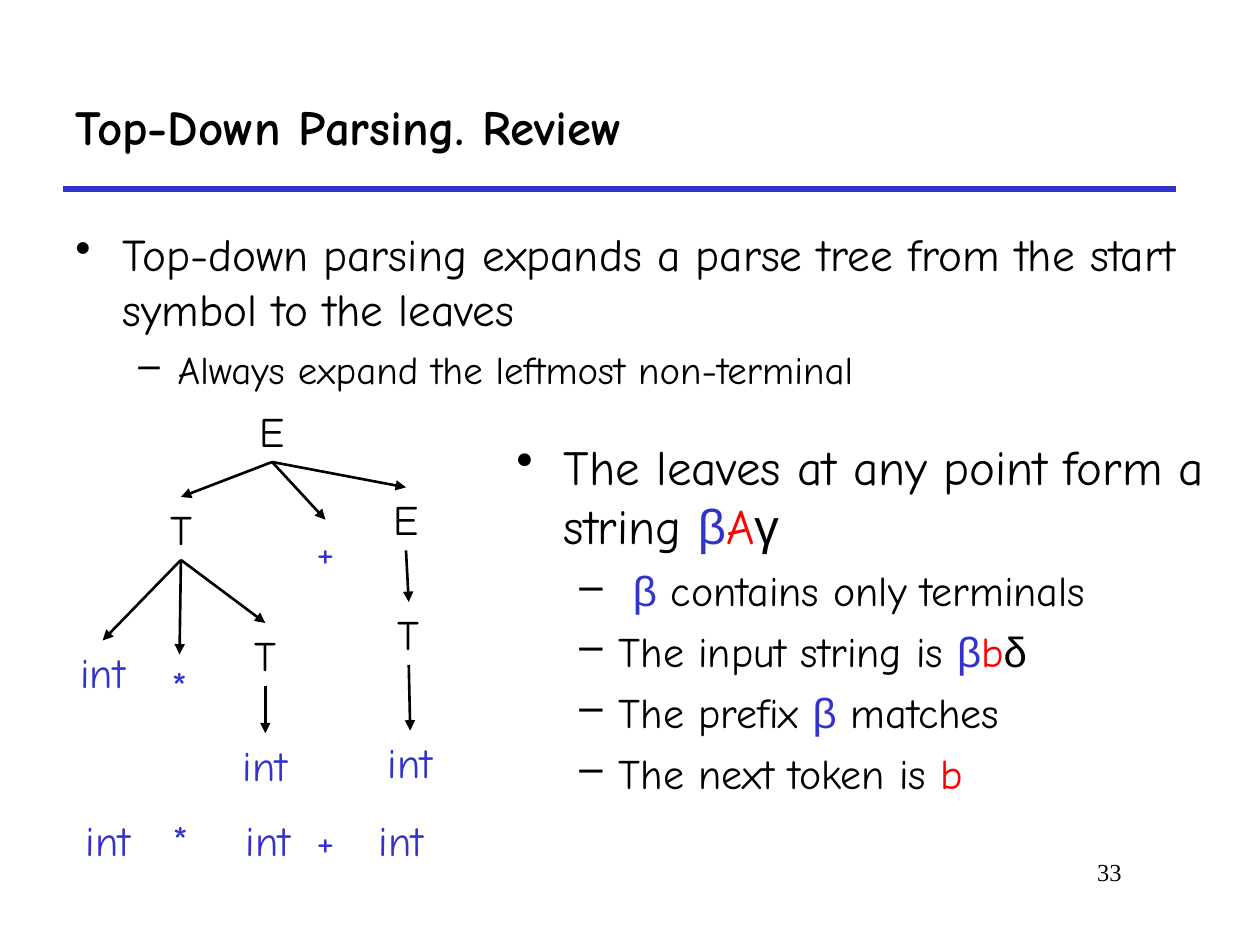
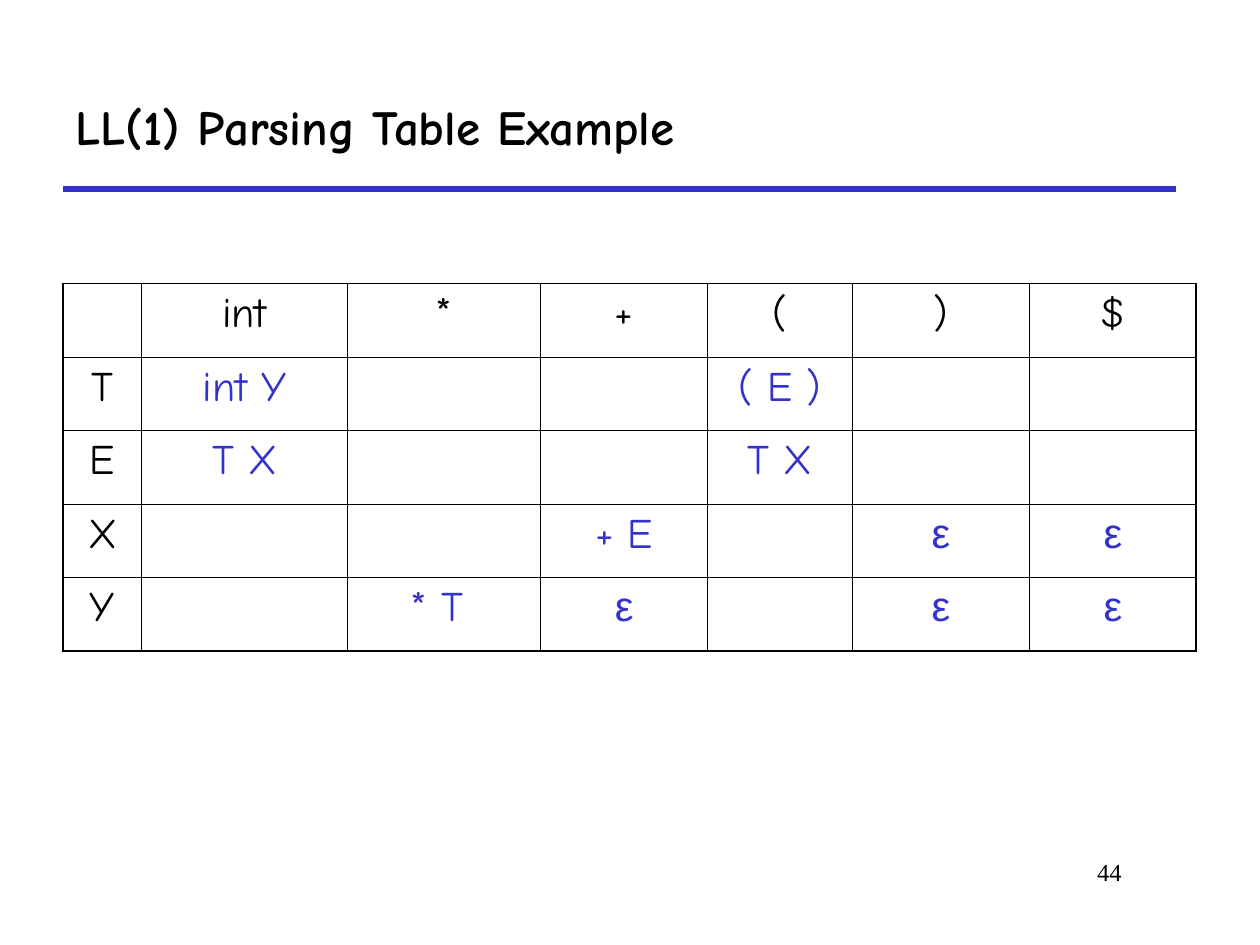
import pptx
import pptx.dml.color
import pptx.enum.shapes
import pptx.enum.text
import pptx.oxml.ns
import pptx.util
from lxml import etree

Pt = pptx.util.Pt
RGBColor = pptx.dml.color.RGBColor
ALIGN = pptx.enum.text.PP_ALIGN
ANCHOR = pptx.enum.text.MSO_ANCHOR
qn = pptx.oxml.ns.qn

# Shared look
BLACK = RGBColor(0x00, 0x00, 0x00)
BLUE = RGBColor(0x33, 0x33, 0xCC)
RED = RGBColor(0xFF, 0x00, 0x00)
TEXT_FONT, GREEK_FONT, NUMBER_FONT = "Comic Neue", "Arial", "Times New Roman"
GREEK = set("βγδε")

# Boxes: left, top, width, height
TITLE_BOX = (36, 36, 636, 72)
NUMBER_BOX = (498, 486, 150, 36)
INTRO_BOX = (36, 126, 654, 108)
TREE_BOX = (36, 228, 220, 270)
LEAVES_BOX = (288, 246, 408, 228)
TABLE_BOX = (36, 162, 648, 210)

# Bullet levels: left margin, hanging indent, space before, bullet
LEVELS = [(27, -27, 7, "•"), (58.5, -22.5, 6, "–")]

# Parse tree: name -> label, centre x, top, parent
NODE_WIDTH, NODE_HEIGHT = 40, 36
NODES = {
    "root": ("E", 119.5, 0, None),
    "left T": ("T", 67.4, 56, "root"),
    "plus": ("+", 150, 69, "root"),
    "right E": ("E", 196, 50.5, "root"),
    "first int": ("int", 22.7, 138, "left T"),
    "star": ("*", 66.6, 146, "left T"),
    "inner T": ("T", 115.6, 128, "left T"),
    "second int": ("int", 115.6, 191, "inner T"),
    "right T": ("T", 197.6, 116, "right E"),
    "third int": ("int", 198.4, 189.5, "right T"),
}
TERMINALS = {"int", "*", "+"}
TOKEN_TABS = [49.7, 91.4, 132, 167.5]

COLUMN_WIDTHS = [45, 117.5, 110.5, 95.5, 82.5, 101.5, 95]
OUTER_LINE, INNER_LINE = 1.08, 0.45
PARSING_TABLE = [
    ["", "int", "*", "+", "(", ")", "$"],
    ["T", "int Y", "", "", "( E )", "", ""],
    ["E", "T X", "", "", "T X", "", ""],
    ["X", "", "", "+ E", "", "ε", "ε"],
    ["Y", "", "* T ", "ε", "", "ε", "ε"],
]


def add_run(p, text, size=24, color=BLACK, font=TEXT_FONT, bold=False):
    r = p.add_run()
    r.text = text
    r.font.name = GREEK_FONT if text in GREEK else font
    r.font.size = Pt(size)
    r.font.bold = bold
    r.font.color.rgb = color


def add_box(slide, box, anchor=ANCHOR.TOP, wrap=True):
    tf = slide.shapes.add_textbox(*map(Pt, box)).text_frame
    tf.word_wrap = wrap
    tf.vertical_anchor = anchor
    return tf


def add_text(slide, box, text, align=ALIGN.LEFT, anchor=ANCHOR.TOP, wrap=True, **style):
    p = add_box(slide, box, anchor, wrap).paragraphs[0]
    p.alignment = align
    add_run(p, text, **style)
    return p


def add_line(slide, start, end, color, width, arrow=False):
    sp = slide.shapes.add_connector(
        pptx.enum.shapes.MSO_CONNECTOR.STRAIGHT, *map(Pt, (*start, *end)))
    sp.line.color.rgb = color
    sp.line.width = Pt(width)
    if arrow:
        etree.SubElement(sp.line._get_or_add_ln(), qn("a:tailEnd"), type="triangle")
    etree.SubElement(sp._element.spPr, qn("a:effectLst"))


def add_bullets(slide, box, items):
    """Each item is a level, a size and a list of (text, colour) runs."""
    tf = add_box(slide, box)
    for i, (level, size, runs) in enumerate(items):
        p = tf.add_paragraph() if i else tf.paragraphs[0]
        margin, indent, before, bullet = LEVELS[level]
        pPr = p._p.get_or_add_pPr()
        pPr.set("marL", str(Pt(margin)))
        pPr.set("indent", str(Pt(indent)))
        color = etree.SubElement(pPr, qn("a:buClr"))
        etree.SubElement(color, qn("a:srgbClr"), val=str(BLACK))
        etree.SubElement(pPr, qn("a:buChar"), char=bullet)
        p.level = level
        if i:
            p.space_before = Pt(before)
        for text, text_color in runs:
            add_run(p, text, size=size, color=text_color)


def add_frame(prs, title, number):
    """New slide with its title, rule and slide number."""
    slide = prs.slides.add_slide(prs.slide_layouts[6])
    left, top, width, height = TITLE_BOX
    add_line(slide, (left, top + height), (left + width, top + height), BLUE, 3)
    add_text(slide, NUMBER_BOX, number, align=ALIGN.RIGHT, size=14, font=NUMBER_FONT)
    add_text(slide, TITLE_BOX, title, anchor=ANCHOR.MIDDLE, size=28, bold=True)
    return slide


def add_parse_tree(slide, box):
    left, top = box[:2]
    for label, x, y, parent in NODES.values():
        x, y = left + x, top + y
        add_text(slide, (x - NODE_WIDTH / 2, y, NODE_WIDTH, NODE_HEIGHT), label,
                 align=ALIGN.CENTER, wrap=False,
                 color=BLUE if label in TERMINALS else BLACK)
        if parent:
            _, parent_x, parent_y, _ = NODES[parent]
            start = (left + parent_x, top + parent_y + NODE_HEIGHT)
            add_line(slide, start, (x, y), BLACK, 1.5, arrow=True)

    # Token string below the tree
    p = add_text(slide, (left + 5.8, top + 234, box[2], NODE_HEIGHT),
                 "int\t*\tint\t+\tint", color=BLUE)
    tabs = etree.SubElement(p._p.get_or_add_pPr(), qn("a:tabLst"))
    for pos in TOKEN_TABS:
        etree.SubElement(tabs, qn("a:tab"), pos=str(Pt(pos)), algn="l")


def set_borders(cell, widths):
    tcPr = cell._tc.get_or_add_tcPr()
    for side, width in widths.items():
        ln = etree.SubElement(tcPr, qn("a:ln" + side), w=str(Pt(width)))
        fill = etree.SubElement(ln, qn("a:solidFill"))
        etree.SubElement(fill, qn("a:srgbClr"), val=str(BLACK))


def add_parsing_table(slide, box):
    rows, cols = len(PARSING_TABLE), len(COLUMN_WIDTHS)
    table = slide.shapes.add_table(rows, cols, *map(Pt, box)).table
    table.first_row = table.horz_banding = False
    for column, width in zip(table.columns, COLUMN_WIDTHS):
        column.width = Pt(width)
    for row in table.rows:
        row.height = Pt(box[3] / rows)

    for i, texts in enumerate(PARSING_TABLE):
        for j, text in enumerate(texts):
            cell = table.cell(i, j)
            on_edge = {"L": j == 0, "R": j == cols - 1, "T": i == 0, "B": i == rows - 1}
            set_borders(cell, {side: OUTER_LINE if edge else INNER_LINE
                               for side, edge in on_edge.items()})
            cell.fill.background()
            if text:
                p = cell.text_frame.paragraphs[0]
                p.alignment = ALIGN.CENTER
                add_run(p, text, color=BLUE if i and j else BLACK)


def build_review(prs):
    slide = add_frame(prs, "Top-Down Parsing. Review", "33")
    add_bullets(slide, INTRO_BOX, [
        (0, 25.9, [("Top-down parsing expands a parse tree from the start "
                    "symbol to the leaves", BLACK)]),
        (1, 22.2, [("Always expand the leftmost non-terminal", BLACK)]),
    ])
    add_parse_tree(slide, TREE_BOX)
    beta = ("β", BLUE)
    add_bullets(slide, LEAVES_BOX, [
        (0, 28, [("The leaves at any point form a string ", BLACK), beta,
                 ("A", RED), ("γ", BLACK)]),
        (1, 24, [(" ", BLACK), beta, (" contains only terminals", BLACK)]),
        (1, 24, [("The input string is ", BLACK), beta, ("b", RED), ("δ", BLACK)]),
        (1, 24, [("The prefix ", BLACK), beta, (" matches", BLACK)]),
        (1, 24, [("The next token is ", BLACK), ("b", RED)]),
    ])


def build_table_example(prs):
    slide = add_frame(prs, "LL(1) Parsing Table Example", "44")
    add_parsing_table(slide, TABLE_BOX)


def main():
    prs = pptx.Presentation()
    prs.slide_width, prs.slide_height = Pt(720), Pt(540)
    build_review(prs)
    build_table_example(prs)
    prs.save("out.pptx")


if __name__ == "__main__":
    main()
